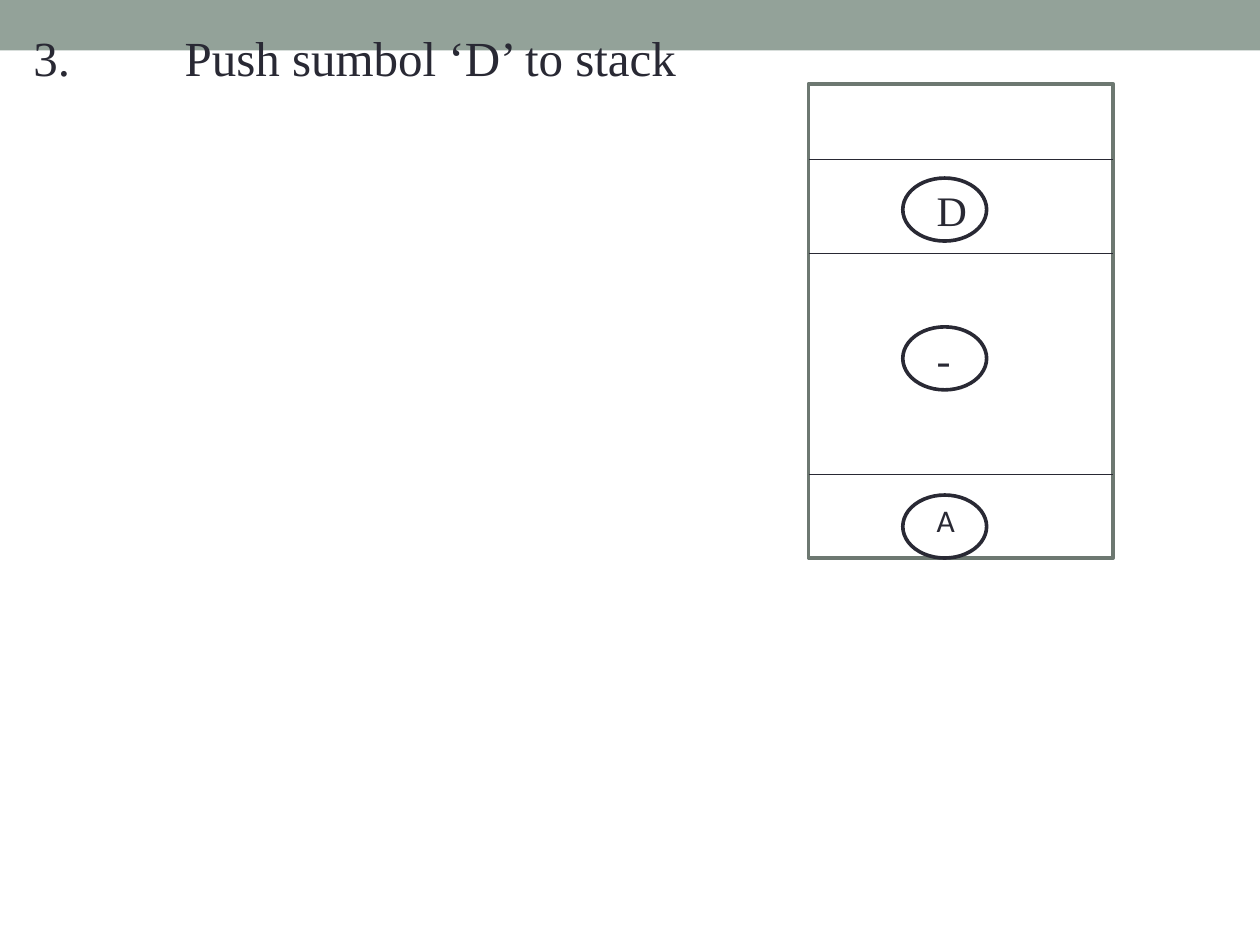
from lxml import etree
from pptx import Presentation
from pptx.dml.color import RGBColor
from pptx.enum import shapes, text
from pptx.oxml.ns import qn
from pptx.util import Cm, Pt

SAGE = RGBColor(0x93, 0xA2, 0x99)
DARK_SAGE = RGBColor(0x6D, 0x78, 0x71)
INK = RGBColor(0x29, 0x29, 0x34)
WHITE = RGBColor(0xFF, 0xFF, 0xFF)

SERIF, SANS = "Times New Roman", "Calibri"
STACK_LEFT, STACK_TOP, STACK_WIDTH, STACK_HEIGHT = 16.3, 1.69, 6.14, 9.56
DIVIDERS = (3.21, 5.11, 9.56)
# symbol, top of its circle, font size, font
SYMBOLS = (("-", 6.59, 24, SERIF), ("A", 9.98, 18, SANS), ("D", 3.59, 24, SERIF))


def format_text(paragraph, size, font):
    for run in paragraph.runs:
        run.font.size = Pt(size)
        run.font.name = font
        run.font.color.rgb = INK


def add_outline(slide, preset, left, top, width, height, fill, line=None):
    shape = slide.shapes.add_shape(preset, Cm(left), Cm(top), Cm(width), Cm(height))
    shape.shadow.inherit = False
    shape.fill.solid()
    shape.fill.fore_color.rgb = fill
    if line is None:
        shape.line.fill.background()
    else:
        shape.line.color.rgb = line
        shape.line.width = Pt(2.08)
    return shape


def add_header_band(slide):
    """Put the band behind everything else on the slide."""
    band = add_outline(slide, shapes.MSO_SHAPE.RECTANGLE, 0, 0, 25.4, 1.02, SAGE)
    slide.shapes._spTree.insert(2, band._element)


def add_step(slide, wording):
    body = slide.placeholders[1]
    body.left, body.top, body.width, body.height = Cm(0.42), Cm(0.42), Cm(24.34), Cm(18.2)
    step = body.text_frame.paragraphs[0]
    step.text = wording
    properties = step._p.get_or_add_pPr()
    properties.set("marL", str(Cm(0.51)))
    properties.set("indent", str(Cm(-0.51)))
    properties.set("defTabSz", str(Cm(2.54)))
    etree.SubElement(properties, qn("a:buNone"))
    format_text(step, 28, SERIF)


def add_divider(slide, y):
    divider = slide.shapes.add_connector(
        shapes.MSO_CONNECTOR.STRAIGHT,
        Cm(STACK_LEFT), Cm(y), Cm(STACK_LEFT + STACK_WIDTH), Cm(y))
    divider.line.color.rgb = INK
    divider.line.width = Pt(0.75)
    etree.SubElement(divider._element.spPr, qn("a:effectLst"))


def add_symbol(slide, symbol, top, size, font):
    add_outline(slide, shapes.MSO_SHAPE.OVAL, 18.2, top, 1.69, 1.27, WHITE, INK)
    label_height = 1.28 if size > 18 else 1.03
    label = slide.shapes.add_textbox(Cm(18.63), Cm(top), Cm(1.27), Cm(label_height))
    frame = label.text_frame
    frame.word_wrap = True
    frame.auto_size = text.MSO_AUTO_SIZE.SHAPE_TO_FIT_TEXT
    frame.text = symbol
    format_text(frame.paragraphs[0], size, font)


def main():
    presentation = Presentation()
    presentation.slide_width, presentation.slide_height = Cm(25.4), Cm(19.05)
    slide = presentation.slides.add_slide(presentation.slide_layouts[1])
    title = slide.shapes.title._element
    title.getparent().remove(title)

    add_header_band(slide)
    add_step(slide, "3.\tPush sumbol ‘D’ to stack")
    add_outline(slide, shapes.MSO_SHAPE.RECTANGLE,
                STACK_LEFT, STACK_TOP, STACK_WIDTH, STACK_HEIGHT, WHITE, DARK_SAGE)
    for y in DIVIDERS:
        add_divider(slide, y)
    for symbol in SYMBOLS:
        add_symbol(slide, *symbol)
    presentation.save("out.pptx")


if __name__ == "__main__":
    main()
